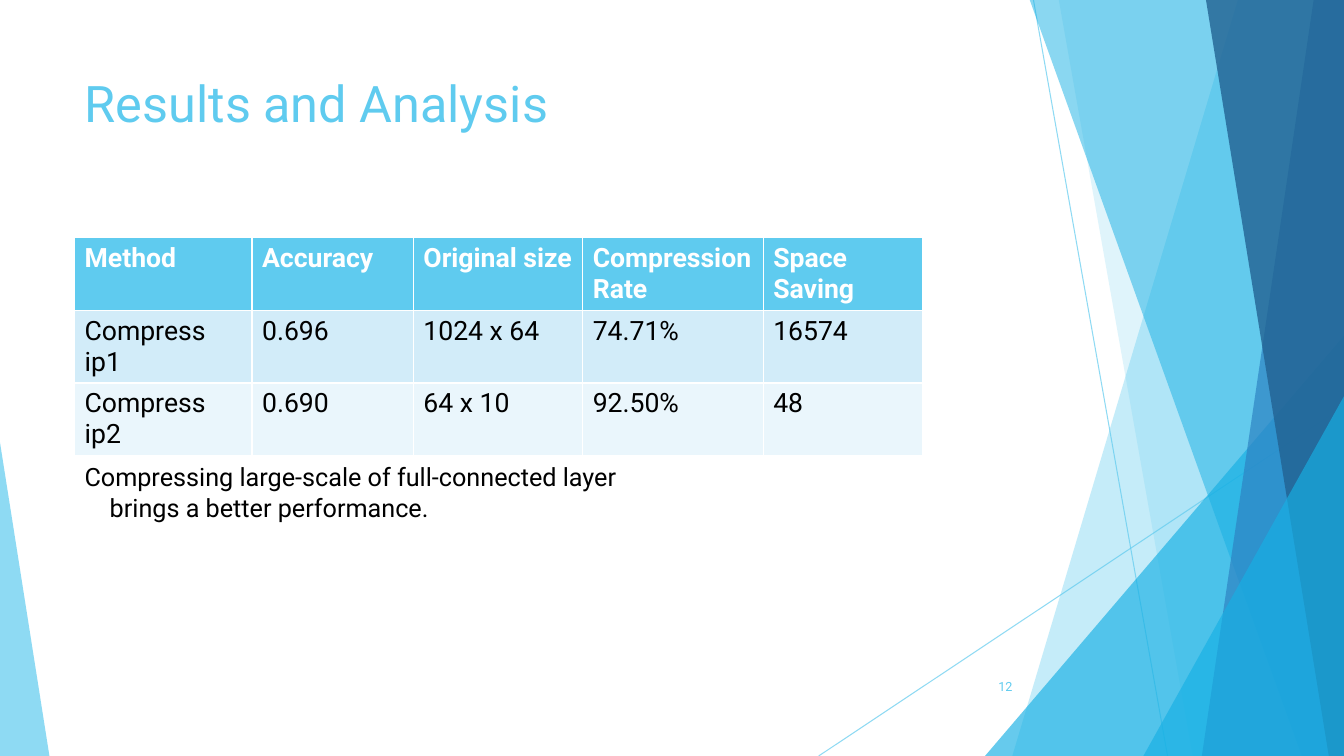
from lxml import etree
from pptx import Presentation
from pptx import util as u
from pptx.dml.color import RGBColor
from pptx.enum import shapes, text
from pptx.oxml.ns import qn

PX = 9144  # EMU in one px, 100 px to the inch
WIDTH, HEIGHT = 1333, 750
FONT = "Roboto"
COLORS = {
    "sky": "5FCBEF",
    "azure": "17B0E4",
    "blue": "2E83C3",
    "navy": "226292",
    "band_dark": "D2ECF9",
    "band_light": "EAF6FC",
    "white": "FFFFFF",
    "black": "000000",
}
RESULTS = [
    ["Method", "Accuracy", "Original size", "Compression Rate", "Space Saving"],
    ["Compress ip1", "0.696", "1024 x 64", "74.71%", "16574"],
    ["Compress ip2", "0.690", "64 x 10", "92.50%", "48"],
]
COLUMN_WIDTHS = [176, 160, 168, 179, 158]
ROW_HEIGHT = 72


def px(*lengths):
    return [u.Emu(length * PX) for length in lengths]


def rgb(color):
    return RGBColor.from_string(COLORS[color])


def set_opacity(fill_parent, percent):
    """Make the solid fill found under an element partly transparent."""
    tone = fill_parent.find(".//" + qn("a:srgbClr"))
    etree.SubElement(tone, qn("a:alpha")).set("val", str(percent * 1000))


def paint(shape, color, opacity):
    shape.shadow.inherit = False
    shape.line.fill.background()
    shape.fill.solid()
    shape.fill.fore_color.rgb = rgb(color)
    set_opacity(shape.element.spPr, opacity)


def add_ray(group, start, end):
    ray = group.shapes.add_connector(
        shapes.MSO_CONNECTOR.STRAIGHT, *px(*start), *px(*end))
    ray.line.color.rgb = rgb("sky")
    ray.line.width = u.Pt(0.75)
    set_opacity(ray.element.spPr, 70)
    etree.SubElement(ray.element.spPr, qn("a:effectLst"))


def add_facet(group, top_left, bottom_left, color, opacity):
    """Add a full-height pane that runs to the right edge of the page."""
    builder = group.shapes.build_freeform(top_left, -1, scale=PX)
    builder.add_line_segments(
        [(WIDTH, -1), (WIDTH, HEIGHT), (bottom_left, HEIGHT)], close=True)
    paint(builder.convert_to_shape(), color, opacity)


def add_corner(group, left, top, width, apex, color, opacity):
    """Add a triangle standing on the bottom edge; apex is 0 left, 1 right."""
    corner = group.shapes.add_shape(
        shapes.MSO_SHAPE.ISOSCELES_TRIANGLE,
        *px(left, top, width, HEIGHT - top))
    corner.adjustments[0] = apex
    paint(corner, color, opacity)


def add_backdrop(page):
    group = page.shapes.add_group_shape()
    add_ray(group, (1025, 0), (1158, HEIGHT))
    add_ray(group, (WIDTH, 403), (812, HEIGHT))
    add_facet(group, 1228, 1004, "sky", 36)
    add_facet(group, 1050, 1183, "sky", 20)
    add_corner(group, 977, 333, 356, 1, "azure", 66)
    add_facet(group, 1021, 1291, "azure", 50)
    add_facet(group, 1303, 1192, "blue", 70)
    add_facet(group, 1196, 1318, "navy", 80)
    add_corner(group, 1134, 393, 199, 1, "azure", 66)
    add_corner(group, 0, 439, 49, 0, "sky", 70)


def write(para, words, size, color, bold=False):
    span = para.add_run()
    span.text = words
    span.font.name = FONT
    span.font.size = u.Pt(size)
    span.font.bold = bold
    span.font.color.rgb = rgb(color)


def set_title(page, words):
    title = page.shapes.title
    title.left, title.top, title.width, title.height = px(74, 67, 940, 144)
    title.text_frame.vertical_anchor = text.MSO_ANCHOR.TOP
    para = title.text_frame.paragraphs[0]
    para.alignment = text.PP_ALIGN.LEFT
    write(para, words, 36, "sky")
    page.shapes.element.append(title.element)  # in front of the backdrop


def add_results(page):
    frame = page.shapes.add_table(
        len(RESULTS), len(COLUMN_WIDTHS),
        *px(74, 236, sum(COLUMN_WIDTHS), ROW_HEIGHT * len(RESULTS)))
    table = frame.table
    for column, width in zip(table.columns, px(*COLUMN_WIDTHS)):
        column.width = width
    fills = ["sky", "band_dark", "band_light"]
    for row, values, fill in zip(table.rows, RESULTS, fills):
        row.height = u.Emu(ROW_HEIGHT * PX)
        header = fill == "sky"
        for cell, value in zip(row.cells, values):
            cell.fill.solid()
            cell.fill.fore_color.rgb = rgb(fill)
            write(cell.text_frame.paragraphs[0], value, 19,
                  "white" if header else "black", header)


def add_text_box(page, left, top, width, height):
    box = page.shapes.add_textbox(*px(left, top, width, height))
    box.text_frame.word_wrap = True
    return box.text_frame


def add_conclusion(page):
    frame = add_text_box(page, 74, 453, 754, 71)
    write(frame.paragraphs[0],
          "Compressing large-scale of full-connected layer", 18, "black")
    para = frame.add_paragraph()
    para._p.get_or_add_pPr().set("marL", str(25 * PX))
    write(para, "brings a better performance.", 18, "black")


def add_page_number(page, number):
    frame = add_text_box(page, 939, 661, 75, 40)
    frame.vertical_anchor = text.MSO_ANCHOR.MIDDLE
    frame.paragraphs[0].alignment = text.PP_ALIGN.RIGHT
    write(frame.paragraphs[0], number, 9, "sky")


def main():
    deck = Presentation()
    deck.slide_width, deck.slide_height = px(WIDTH, HEIGHT)
    page = deck.slides.add_slide(deck.slide_layouts.get_by_name("Title Only"))
    add_backdrop(page)
    set_title(page, "Results and Analysis")
    add_results(page)
    add_conclusion(page)
    add_page_number(page, "12")
    deck.save("out.pptx")


if __name__ == "__main__":
    main()
